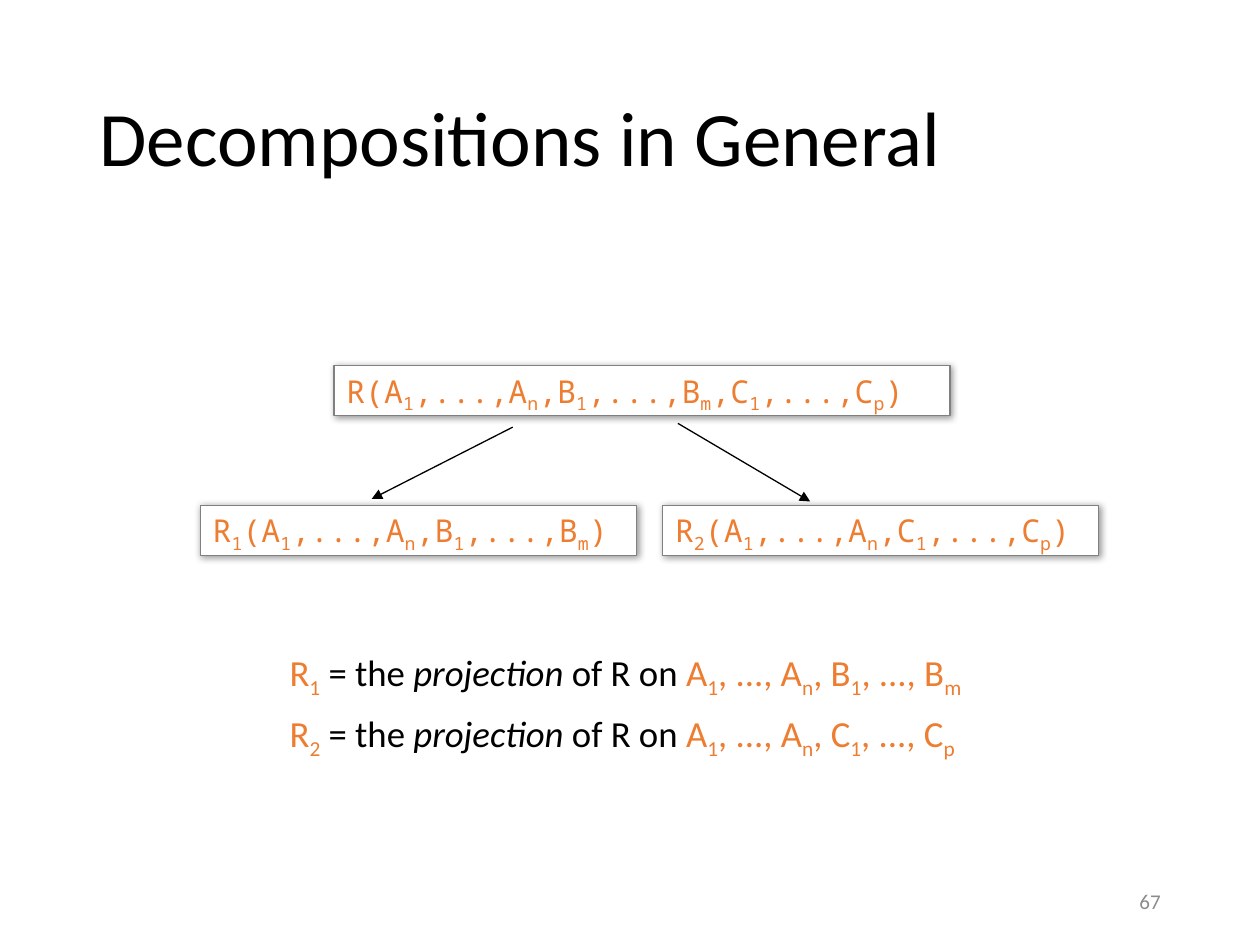
from dataclasses import dataclass
from typing import Iterator

from lxml.etree import SubElement
from pptx import Presentation
from pptx.dml.color import RGBColor
from pptx.enum.shapes import MSO_CONNECTOR, MSO_SHAPE
from pptx.enum.text import MSO_ANCHOR as Anchor, MSO_AUTO_SIZE as AutoSize, PP_ALIGN as Align
from pptx.oxml.ns import qn
from pptx.util import Emu, Inches, Pt

COLUMNS, ROWS = 100, 75
WIDTH, HEIGHT = Inches(10), Inches(7.5)


@dataclass(frozen=True)
class Theme:
    body_font: str = "Calibri"
    code_font: str = "Noto Sans Mono"
    ink: RGBColor = RGBColor(0, 0, 0)
    accent: RGBColor = RGBColor(0xED, 0x7D, 0x31)
    paper: RGBColor = RGBColor(0xFF, 0xFF, 0xFF)
    border: RGBColor = RGBColor(0x80, 0x80, 0x80)
    muted: RGBColor = RGBColor(0x8C, 0x8C, 0x8C)
    title_size: Pt = Pt(44)
    body_size: Pt = Pt(21)
    code_size: Pt = Pt(18)
    number_size: Pt = Pt(12)
    line_width: Pt = Pt(0.75)


THEME = Theme()


@dataclass(frozen=True)
class Area:
    """A rectangle in grid columns and rows."""
    column: float
    row: float
    columns: float
    rows: float

    def lengths(self) -> tuple[Emu, Emu, Emu, Emu]:
        return (*point(self.column, self.row), *point(self.columns, self.rows))


@dataclass(frozen=True)
class Relation:
    area: Area
    schema: str
    wrap: bool = False


@dataclass(frozen=True)
class Projection:
    area: Area
    name: str
    attributes: str


@dataclass(frozen=True)
class Arrow:
    start: tuple[float, float]
    end: tuple[float, float]


CHILD_LEFT, CHILD_STEP, CHILD_ROW = 15.9, 36.7, 40.1
RELATIONS = [
    Relation(Area(26.5, 29, 48.9, 4), "R(A_1,...,A_n,B_1,...,B_m,C_1,...,C_p)", True),
    Relation(Area(CHILD_LEFT, CHILD_ROW, 34.6, 4), "R_1(A_1,...,A_n,B_1,...,B_m)"),
    Relation(Area(CHILD_LEFT + CHILD_STEP, CHILD_ROW, 34.6, 4), "R_2(A_1,...,A_n,C_1,...,C_p)"),
]
ARROWS = [Arrow((40.7, 33.9), (29.5, 39.6)), Arrow((53.8, 33.6), (64.3, 39.8))]
PROJECTIONS = [
    Projection(Area(22, 51.1, 56.3, 4.5), "R_1", "A_1, ..., A_n, B_1, ..., B_m"),
    Projection(Area(22, 55.9, 55.8, 4.5), "R_2", "A_1, ..., A_n, C_1, ..., C_p"),
]


def point(column: float, row: float) -> tuple[Emu, Emu]:
    return Emu(round(WIDTH * column / COLUMNS)), Emu(round(HEIGHT * row / ROWS))


def style(font, name: str, size: Pt, color: RGBColor) -> None:
    font.name, font.size = name, size
    font.color.rgb = color


def split_subscripts(text: str) -> Iterator[tuple[str, bool]]:
    """Yield pieces of text; the single letter after each underscore is a subscript."""
    first, *rest = text.split("_")
    yield first, False
    for piece in rest:
        yield piece[0], True
        if piece[1:]:
            yield piece[1:], False


def add_formula(paragraph, text: str, name: str, size: Pt, color: RGBColor) -> None:
    for piece, is_subscript in split_subscripts(text):
        run = paragraph.add_run()
        run.text = piece
        style(run.font, name, size, color)
        if is_subscript:
            run._r.get_or_add_rPr().set("baseline", "-25000")


def add_effects(shape, with_shadow: bool = False) -> None:
    effects = SubElement(shape._element.spPr, qn("a:effectLst"))
    if with_shadow:
        shadow = SubElement(effects, qn("a:outerShdw"), blurRad=str(Pt(4)),
                            dist=str(Pt(1)), dir=str(45 * 60000), rotWithShape="0")
        color = SubElement(shadow, qn("a:srgbClr"), val=str(THEME.ink))
        SubElement(color, qn("a:alpha"), val="40000")


def add_relation(slide, relation: Relation) -> None:
    shape = slide.shapes.add_shape(MSO_SHAPE.RECTANGLE, *relation.area.lengths())
    shape.fill.solid()
    shape.fill.fore_color.rgb = THEME.paper
    shape.line.color.rgb = THEME.border
    shape.line.width = THEME.line_width
    add_effects(shape, with_shadow=True)
    frame = shape.text_frame
    frame.word_wrap = relation.wrap
    frame.auto_size = AutoSize.SHAPE_TO_FIT_TEXT
    frame.vertical_anchor = Anchor.TOP
    paragraph = frame.paragraphs[0]
    paragraph.alignment = Align.LEFT
    add_formula(paragraph, relation.schema, THEME.code_font, THEME.code_size, THEME.accent)


def add_arrow(slide, arrow: Arrow) -> None:
    connector = slide.shapes.add_connector(
        MSO_CONNECTOR.STRAIGHT, *point(*arrow.start), *point(*arrow.end))
    connector.line.color.rgb = THEME.ink
    connector.line.width = THEME.line_width
    SubElement(connector.line._get_or_add_ln(), qn("a:tailEnd"), type="triangle")
    add_effects(connector)


def add_projection(slide, projection: Projection) -> None:
    frame = slide.shapes.add_textbox(*projection.area.lengths()).text_frame
    frame.word_wrap = False
    frame.auto_size = AutoSize.SHAPE_TO_FIT_TEXT
    paragraph = frame.paragraphs[0]
    add_formula(paragraph, projection.name, THEME.body_font, THEME.body_size, THEME.accent)
    for text, italic in ((" = the ", False), ("projection", True), (" of R on ", False)):
        run = paragraph.add_run()
        run.text = text
        style(run.font, THEME.body_font, THEME.body_size, THEME.ink)
        run.font.italic = italic
    add_formula(paragraph, projection.attributes, THEME.body_font, THEME.body_size, THEME.accent)


def set_title(slide, text: str, area: Area) -> None:
    title = slide.shapes.title
    title.left, title.top, title.width, title.height = area.lengths()
    title.text_frame.text = text
    title.text_frame.vertical_anchor = Anchor.MIDDLE
    paragraph = title.text_frame.paragraphs[0]
    paragraph.alignment = Align.LEFT
    paragraph.line_spacing = 0.9
    style(paragraph.runs[0].font, THEME.body_font, THEME.title_size, THEME.ink)


def add_page_number(slide, text: str, area: Area) -> None:
    frame = slide.shapes.add_textbox(*area.lengths()).text_frame
    frame.word_wrap = True
    frame.vertical_anchor = Anchor.MIDDLE
    frame.text = text
    paragraph = frame.paragraphs[0]
    paragraph.alignment = Align.RIGHT
    style(paragraph.runs[0].font, THEME.body_font, THEME.number_size, THEME.muted)


def main() -> None:
    presentation = Presentation()
    presentation.slide_width, presentation.slide_height = WIDTH, HEIGHT
    title_only = presentation.slide_layouts[5]
    slide = presentation.slides.add_slide(title_only)
    set_title(slide, "Decompositions in General", Area(6.9, 4, 86.2, 14.5))
    for relation in RELATIONS:
        add_relation(slide, relation)
    for arrow in ARROWS:
        add_arrow(slide, arrow)
    for projection in PROJECTIONS:
        add_projection(slide, projection)
    add_page_number(slide, "67", Area(70.6, 69.5, 22.5, 4))
    presentation.save("out.pptx")


if __name__ == "__main__":
    main()
